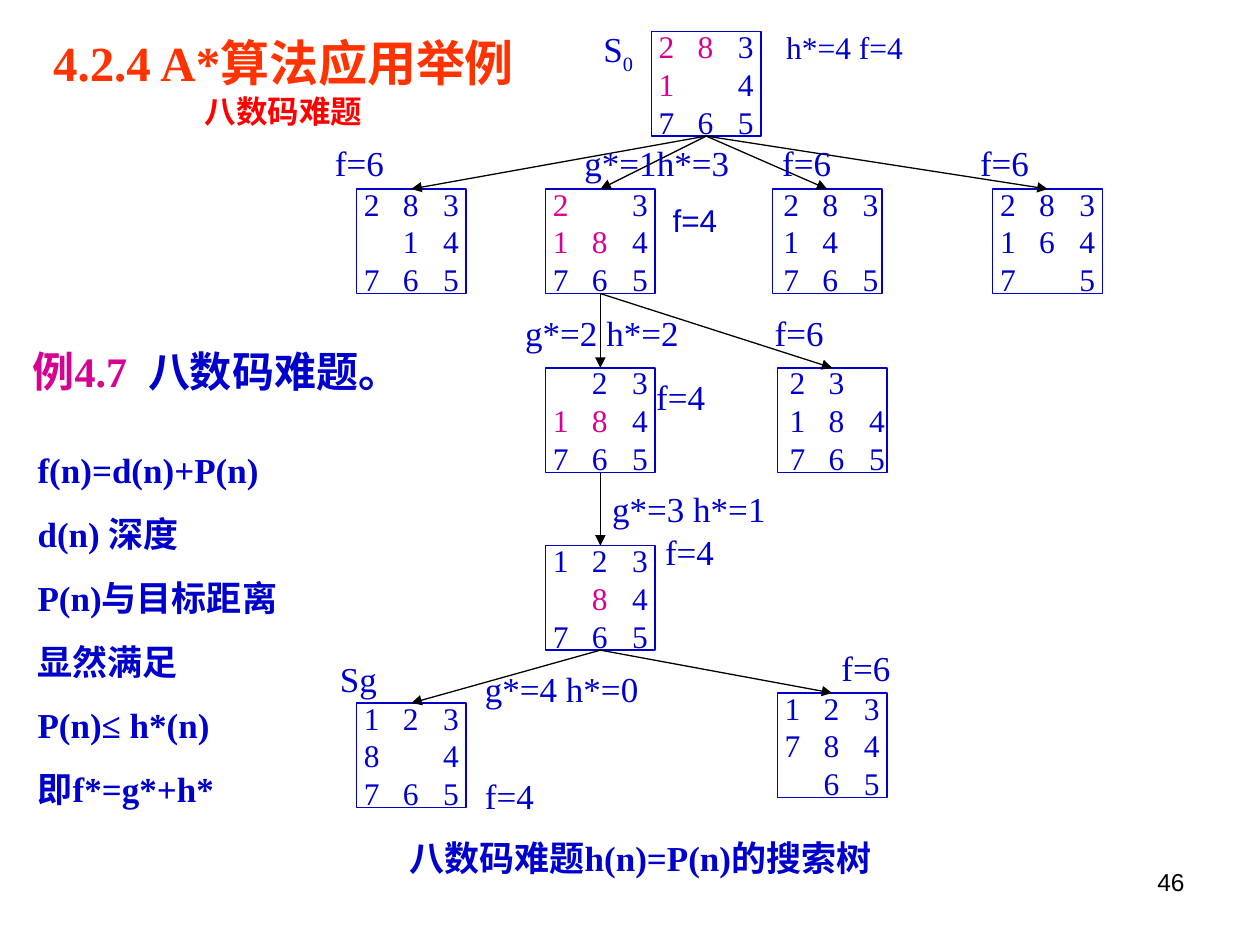
from lxml import etree
from pptx import Presentation
from pptx.dml.color import RGBColor
from pptx.enum import shapes, text
from pptx.oxml.ns import qn
from pptx.util import Inches, Pt

BLUE, PINK, BLACK = "0000CC", "D60093", "000000"
SERIF = "Times New Roman"
TILE_W, TILE_H = 0.87, 0.83
COLUMNS = (0.12, 0.43, 0.75)


def set_font(font, size, color=BLUE, bold=False, name=SERIF):
    font.size, font.bold, font.name = Pt(size), bold, name
    font.color.rgb = RGBColor.from_string(color)


def add_text(x, y, w, h, lines, size=20, color=BLUE, bold=False, name=SERIF):
    tf = s.shapes.add_textbox(Inches(x), Inches(y), Inches(w), Inches(h)).text_frame
    tf.word_wrap = True
    for i, line in enumerate(lines):
        p = tf.add_paragraph() if i else tf.paragraphs[0]
        p.text = line
        if i:
            p.space_before = Pt(12.5)
        set_font(p.font, size, color, bold, name)
    return tf


prs = Presentation()
prs.slide_width, prs.slide_height = Inches(10), Inches(7.5)
s = prs.slides.add_slide(prs.slide_layouts[5])

# Title and subtitle
title = s.shapes.title
title.left, title.top, title.width, title.height = map(Inches, (0.2, 0.21, 4.1, 0.87))
tf = title.text_frame
tf.text = "4.2.4 A*算法应用举例\n八数码难题"
tf.auto_size = text.MSO_AUTO_SIZE.NONE
tf.vertical_anchor = text.MSO_ANCHOR.TOP
for p, size, color in zip(tf.paragraphs, (28, 18), ("FF3300", "FF0000")):
    p.alignment = text.PP_ALIGN.CENTER
    p.space_before = Pt(0)
    set_font(p.font, size, color, True)

# Puzzle boards: left, top, rows (_ is the empty cell), pink digits, text shift
boards = {
    "start": (5.17, 0.25, "283 1_4 765", "281", 0),
    "1a": (2.83, 1.5, "283 _14 765", "", 0),
    "1b": (4.33, 1.5, "2_3 184 765", "218", 0),
    "1c": (6.13, 1.5, "283 14_ 765", "", 0.03),
    "1d": (7.88, 1.5, "283 164 7_5", "", 0),
    "2a": (4.33, 2.92, "_23 184 765", "18", 0),
    "2b": (6.17, 2.92, "23_ 184 765", "", 0.04),
    "3": (4.33, 4.33, "123 _84 765", "8", 0),
    "goal": (2.83, 5.58, "123 8_4 765", "", 0),
    "4b": (6.17, 5.5, "123 784 _65", "", 0),
}
nodes = {}
for key, (x, y, rows, pink, shift) in boards.items():
    sp = s.shapes.add_shape(shapes.MSO_SHAPE.RECTANGLE, Inches(x), Inches(y),
                            Inches(TILE_W), Inches(TILE_H))
    nodes[key] = sp
    sp.shadow.inherit = False
    sp.fill.background()
    sp.line.color.rgb = RGBColor.from_string(BLUE)
    sp.line.width = Pt(0.75)
    tf = sp.text_frame
    tf.margin_left, tf.margin_right = Inches(shift), 0
    tf.vertical_anchor = text.MSO_ANCHOR.MIDDLE
    for i, row in enumerate(rows.split()):
        p = tf.add_paragraph() if i else tf.paragraphs[0]
        p.alignment = text.PP_ALIGN.LEFT
        tabs = etree.SubElement(p._p.get_or_add_pPr(), qn("a:tabLst"))
        for column in COLUMNS:
            etree.SubElement(tabs, qn("a:tab"), pos=str(Inches(column)), algn="ctr")
        set_font(p.font, 18)
        for cell in row.rstrip("_"):
            r = p.add_run()
            r.text = "\t" + cell.replace("_", "")
            set_font(r.font, 18, PINK if cell in pink else BLUE)

# Search tree arrows, from bottom side to top side
edges = [("start", "1a"), ("start", "1b"), ("start", "1c"), ("start", "1d"),
         ("1b", "2a"), ("1b", "2b"), ("2a", "3"), ("3", "goal"), ("3", "4b")]
for parent, child in edges:
    arrow = s.shapes.add_connector(shapes.MSO_CONNECTOR.STRAIGHT, 0, 0, 0, 0)
    arrow.begin_connect(nodes[parent], 2)
    arrow.end_connect(nodes[child], 0)
    arrow.line.color.rgb = RGBColor.from_string(BLACK)
    arrow.line.width = Pt(0.75)
    etree.SubElement(arrow.line._get_or_add_ln(), qn("a:tailEnd"), type="triangle")
    etree.SubElement(arrow._element.spPr, qn("a:effectLst"))

# Cost labels
labels = [
    ("f=6", 2.56, 1.07), ("g*=1h*=3", 4.54, 1.07), ("f=6", 6.11, 1.07), ("f=6", 7.68, 1.07),
    ("g*=2 h*=2", 4.07, 2.42), ("f=6", 6.05, 2.42), ("f=4", 5.11, 2.93),
    ("g*=3 h*=1", 4.76, 3.82), ("f=4", 5.18, 4.16),
    ("g*=4 h*=0", 3.75, 5.25), ("f=4", 3.75, 6.1), ("f=6", 6.58, 5.08), ("Sg", 2.6, 5.17),
]
for label, x, y in labels:
    add_text(x, y, 1.5 if len(label) > 3 else 0.7, 0.44, [label])
add_text(5.24, 1.55, 0.63, 0.4, ["f=4"], 18, name="Arial")
add_text(6.14, 0.17, 1.61, 0.4, ["h*=4 f=4"], 18)

p = add_text(4.69, 0.17, 0.6, 0.48, ["S"]).paragraphs[0]
r = p.add_run()
r.text = "0"
r.font._element.set("baseline", "-25000")

# Example heading, formulas, caption and page number
p = add_text(0.16, 2.69, 3.03, 0.9, ["例4.7 "], 24, PINK, True).paragraphs[0]
r = p.add_run()
r.text = " 八数码难题。"
r.font.color.rgb = RGBColor.from_string(BLUE)
add_text(0.2, 3.51, 2.24, 2.97,
         ["f(n)=d(n)+P(n)", "d(n) 深度", "P(n)与目标距离", "显然满足", "P(n)≤ h*(n)", "即f*=g*+h*"],
         bold=True)
add_text(3.15, 6.59, 3.89, 0.77, ["八数码难题h(n)=P(n)的搜索树"], bold=True)
tf = add_text(7.17, 6.83, 2.33, 0.52, ["46"], 14, BLACK, name="Arial")
tf.paragraphs[0].alignment = text.PP_ALIGN.RIGHT

prs.save("out.pptx")
